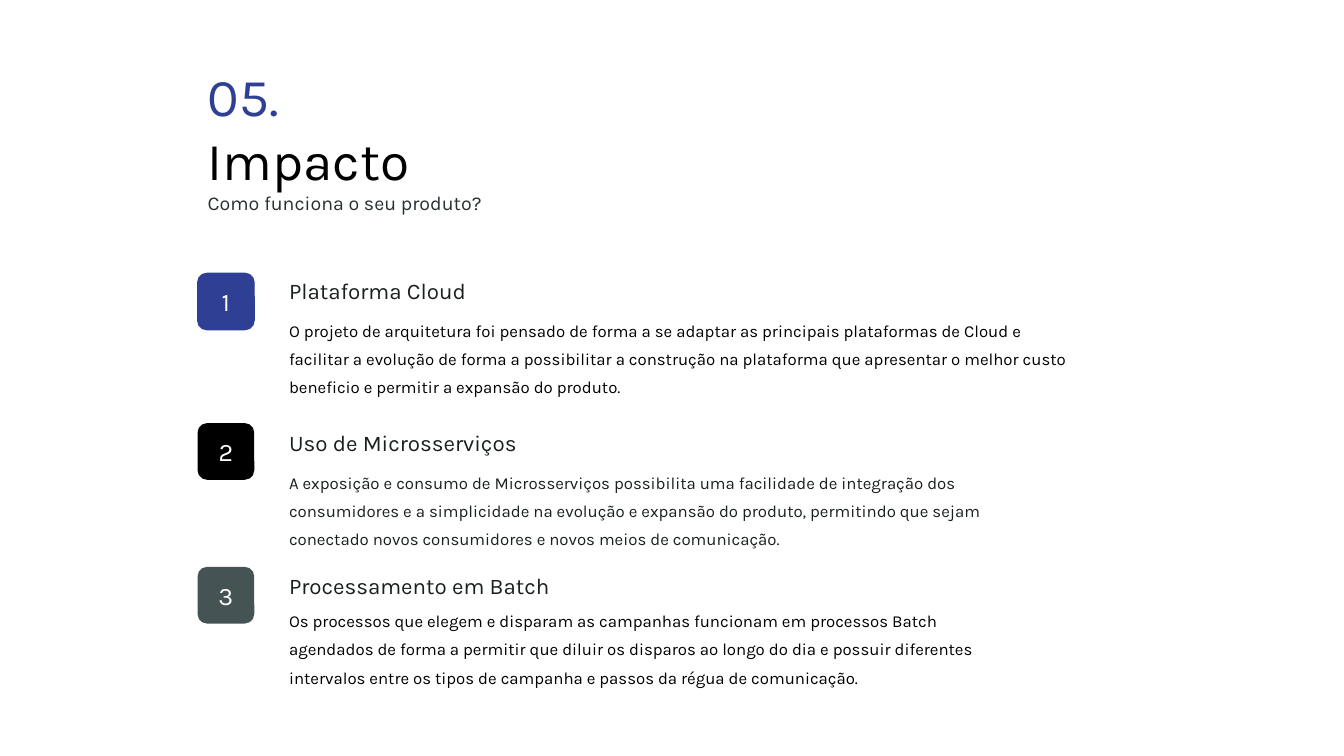
from pptx import Presentation
from pptx.dml.color import RGBColor
from pptx.enum.shapes import MSO_SHAPE as Shape
from pptx.enum.text import MSO_ANCHOR as Anchor, MSO_AUTO_SIZE as AutoSize, PP_ALIGN as Align
from pptx.util import Pt

FONT = "Karla"
COLORS = {
    "blue": "2F3F94",
    "black": "000000",
    "slate": "465354",
    "ink": "1A1F20",
    "subtitle": "272F30",
    "white": "FFFFFF",
}
BADGE_LEFT = 141.1
BADGE_SIZE = 40.5
TEXT_LEFT = 199.4

TITLE_LINES = [
    ("05.", 38, "blue"),
    ("Impacto", 38, "black"),
    ("Como funciona o seu produto?", 14, "subtitle"),
]

TOPICS = [
    {
        "heading": "Plataforma Cloud",
        "body": "O projeto de arquitetura foi pensado de forma a se adaptar as principais "
                "plataformas de Cloud e facilitar a evolução de forma a possibilitar a construção "
                "na plataforma que apresentar o melhor custo beneficio e permitir a expansão do produto.",
        "fill": "blue", "outline": "blue", "body_color": "black",
        "badge_top": 195.1, "heading_top": 194.6, "body_top": 219.6, "body_width": 573.8,
    },
    {
        "heading": "Uso de Microsserviços",
        "body": "A exposição e consumo de Microsserviços possibilita uma facilidade de integração "
                "dos consumidores e a simplicidade na evolução e expansão do produto, permitindo "
                "que sejam conectado novos consumidores e novos meios de comunicação.",
        "fill": "black", "outline": None, "body_color": "ink",
        "badge_top": 302.2, "heading_top": 303.1, "body_top": 328.3, "body_width": 561.6,
    },
    {
        "heading": "Processamento em Batch",
        "body": "Os processos que elegem e disparam as campanhas funcionam em processos Batch "
                "agendados de forma a permitir que diluir os disparos ao longo do dia e possuir "
                "diferentes intervalos entre os tipos de campanha e passos da régua de comunicação.",
        "fill": "slate", "outline": None, "body_color": "black",
        "badge_top": 404.9, "heading_top": 404.9, "body_top": 427, "body_width": 540.7,
    },
]


def rgb(name):
    return RGBColor.from_string(COLORS[name])


def write(paragraph, text, size, color, align=Align.LEFT, spacing=1.0):
    paragraph.text = text
    paragraph.alignment = align
    paragraph.line_spacing = spacing
    font = paragraph.runs[0].font
    font.name = FONT
    font.size = Pt(size)
    font.color.rgb = rgb(color)


def fill_title(title):
    title.left, title.top, title.width, title.height = Pt(141.1), Pt(41.8), Pt(238.3), Pt(116.6)
    frame = title.text_frame
    frame.word_wrap = True
    frame.auto_size = AutoSize.SHAPE_TO_FIT_TEXT
    frame.vertical_anchor = Anchor.TOP
    frame.text = "\n".join(text for text, _, _ in TITLE_LINES)
    for paragraph, line in zip(frame.paragraphs, TITLE_LINES):
        write(paragraph, *line)


def add_badge(slide, number, top, fill, outline):
    shape = slide.shapes.add_shape(
        Shape.ROUNDED_RECTANGLE, Pt(BADGE_LEFT), Pt(top), Pt(BADGE_SIZE), Pt(BADGE_SIZE))
    shape.shadow.inherit = False
    shape.fill.solid()
    shape.fill.fore_color.rgb = rgb(fill)
    if outline:
        shape.line.color.rgb = rgb(outline)
        shape.line.width = Pt(0.75)
    else:
        shape.line.fill.background()
    shape.text_frame.vertical_anchor = Anchor.MIDDLE
    write(shape.text_frame.paragraphs[0], str(number), 18, "white", Align.CENTER)


def add_text(slide, text, top, width, height, size, color, spacing=1.0):
    box = slide.shapes.add_textbox(Pt(TEXT_LEFT), Pt(top), Pt(width), Pt(height))
    frame = box.text_frame
    frame.word_wrap = True
    frame.auto_size = AutoSize.SHAPE_TO_FIT_TEXT
    write(frame.paragraphs[0], text, size, color, spacing=spacing)


def add_topic(slide, number, topic):
    add_badge(slide, number, topic["badge_top"], topic["fill"], topic["outline"])
    add_text(slide, topic["heading"], topic["heading_top"], 227.5, 26.6, 16, "ink")
    add_text(slide, topic["body"], topic["body_top"], topic["body_width"], 68.4, 12,
             topic["body_color"], spacing=1.4)


def main():
    presentation = Presentation()
    presentation.slide_width, presentation.slide_height = Pt(960), Pt(540)
    slide = presentation.slides.add_slide(presentation.slide_layouts[5])
    fill_title(slide.shapes.title)
    for number, topic in enumerate(TOPICS, start=1):
        add_topic(slide, number, topic)
    presentation.save("out.pptx")


if __name__ == "__main__":
    main()
